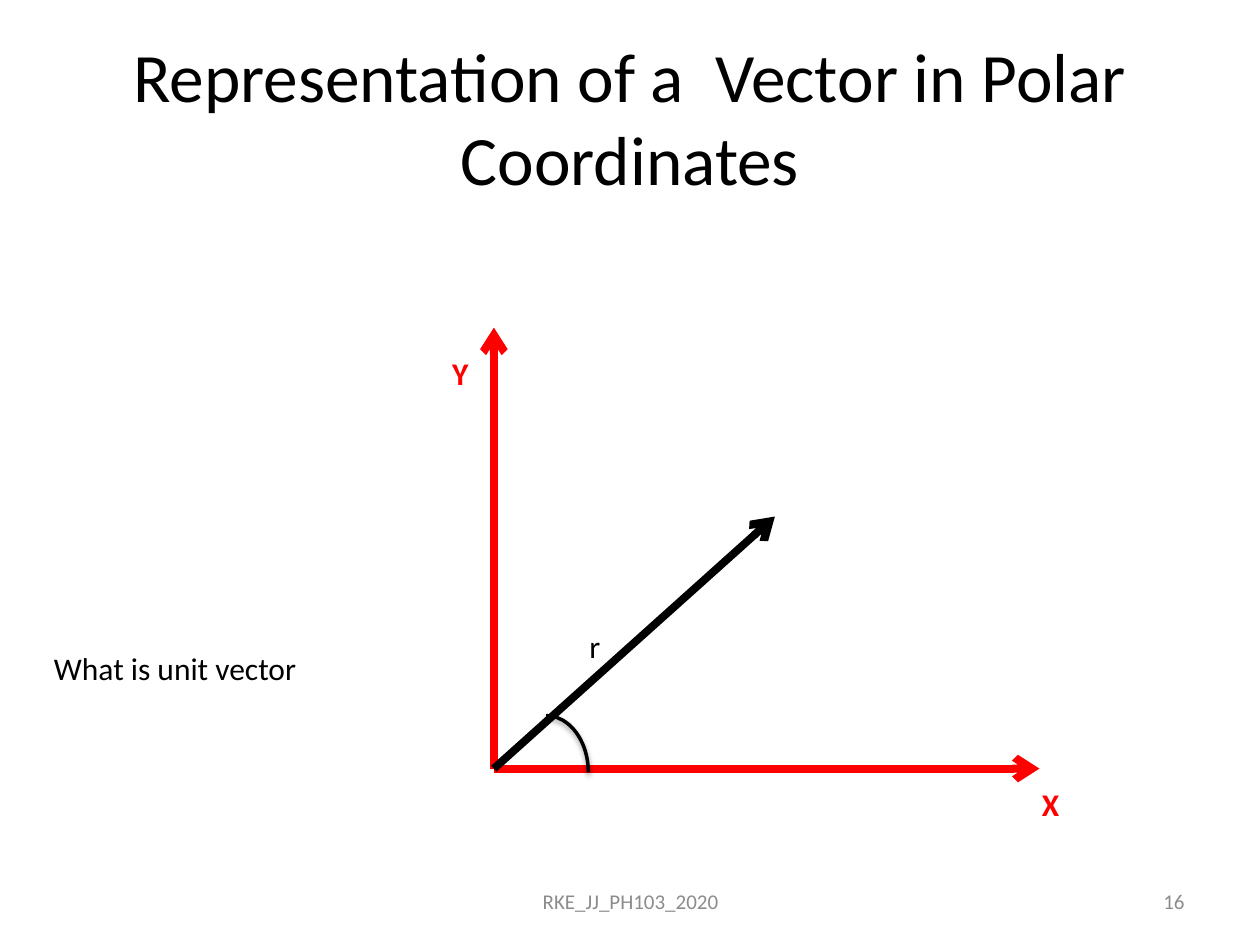
import pptx
import pptx.util
import pptx.dml.color
import pptx.enum.shapes
import pptx.enum.text
import pptx.oxml
import pptx.oxml.ns
from dataclasses import dataclass

Inches = pptx.util.Inches
Pt = pptx.util.Pt
Align = pptx.enum.text.PP_ALIGN
Anchor = pptx.enum.text.MSO_ANCHOR


@dataclass(frozen=True)
class Theme:
    font: str = "Calibri"
    ink: str = "000000"
    axis: str = "FF0000"
    muted: str = "8C8C8C"
    background: str = "FFFFFF"
    title_size: float = 39.6
    body_size: float = 18
    footer_size: float = 12
    arrow_width: float = 4.5
    arc_width: float = 2


THEME = Theme()
ORIGIN = (3.92, 6.1)


def rgb(value):
    return pptx.dml.color.RGBColor.from_string(value)


def place(shape, left, top, width, height):
    shape.left, shape.top = Inches(left), Inches(top)
    shape.width, shape.height = Inches(width), Inches(height)


def write(text_frame, text, size, color, align, bold=False):
    paragraph = text_frame.paragraphs[0]
    paragraph.alignment = align
    run = paragraph.add_run()
    run.text = text
    run.font.name = THEME.font
    run.font.size = Pt(size)
    run.font.bold = bold
    run.font.color.rgb = rgb(color)


def add_title(slide, text):
    title = slide.shapes.title
    place(title, 0.5, 0.3, 9, 1.25)
    title.text_frame.vertical_anchor = Anchor.MIDDLE
    title.text_frame.auto_size = pptx.enum.text.MSO_AUTO_SIZE.NONE
    write(title.text_frame, text, THEME.title_size, THEME.ink, Align.CENTER)


def add_footer(slide, text, left, width, align):
    box = slide.shapes.add_textbox(Inches(left), Inches(6.95), Inches(width), Inches(0.4))
    box.text_frame.word_wrap = True
    box.text_frame.vertical_anchor = Anchor.MIDDLE
    write(box.text_frame, text, THEME.footer_size, THEME.muted, align)


def add_label(slide, text, left, top, width, color=THEME.ink, bold=False):
    box = slide.shapes.add_textbox(Inches(left), Inches(top), Inches(width), Inches(0.4))
    box.text_frame.word_wrap = False
    box.text_frame.auto_size = pptx.enum.text.MSO_AUTO_SIZE.SHAPE_TO_FIT_TEXT
    write(box.text_frame, text, THEME.body_size, color, Align.LEFT, bold)


def add_arrow(slide, end, color):
    points = [Inches(value) for value in (*ORIGIN, *end)]
    arrow = slide.shapes.add_connector(pptx.enum.shapes.MSO_CONNECTOR.STRAIGHT, *points)
    arrow.line.color.rgb = rgb(color)
    arrow.line.width = Pt(THEME.arrow_width)
    head = pptx.oxml.parse_xml(f'<a:tailEnd {pptx.oxml.ns.nsdecls("a")} type="arrow"/>')
    arrow.line._get_or_add_ln().append(head)
    properties = arrow._element.spPr
    properties.append(pptx.oxml.parse_xml(f'<a:effectLst {pptx.oxml.ns.nsdecls("a")}/>'))


def add_angle_arc(slide, left, top, width, height):
    arc = slide.shapes.add_shape(
        pptx.enum.shapes.MSO_SHAPE.ARC,
        Inches(left), Inches(top), Inches(width), Inches(height))
    arc.fill.background()
    arc.line.color.rgb = rgb(THEME.ink)
    arc.line.width = Pt(THEME.arc_width)
    shadow = pptx.oxml.parse_xml(
        f'<a:effectLst {pptx.oxml.ns.nsdecls("a")}>'
        '<a:outerShdw blurRad="40000" dist="20000" dir="5400000" rotWithShape="0">'
        f'<a:srgbClr val="{THEME.ink}"><a:alpha val="38000"/></a:srgbClr>'
        '</a:outerShdw></a:effectLst>')
    arc._element.spPr.append(shadow)


def main():
    presentation = pptx.Presentation()
    presentation.slide_width, presentation.slide_height = Inches(10), Inches(7.5)
    slide = presentation.slides.add_slide(presentation.slide_layouts[5])
    slide.background.fill.solid()
    slide.background.fill.fore_color.rgb = rgb(THEME.background)

    add_title(slide, "Representation of a  Vector in Polar Coordinates")
    add_footer(slide, "RKE_JJ_PH103_2020", 3.42, 3.17, Align.CENTER)
    add_footer(slide, "16", 7.17, 2.33, Align.RIGHT)
    add_label(slide, "X", 8.17, 6.18, 0.34, THEME.axis, bold=True)
    add_label(slide, "Y", 3.49, 2.76, 0.34, THEME.axis, bold=True)
    add_arrow(slide, (8.25, ORIGIN[1]), THEME.axis)
    add_arrow(slide, (ORIGIN[0], 2.6), THEME.axis)
    add_arrow(slide, (6.15, 4.1), THEME.ink)
    add_label(slide, "r", 4.58, 4.93, 0.29)
    add_angle_arc(slide, 4, 5.68, 0.67, 0.9)
    add_label(slide, "What is unit vector", 0.33, 5.1, 2.21)

    presentation.save("out.pptx")


if __name__ == "__main__":
    main()
